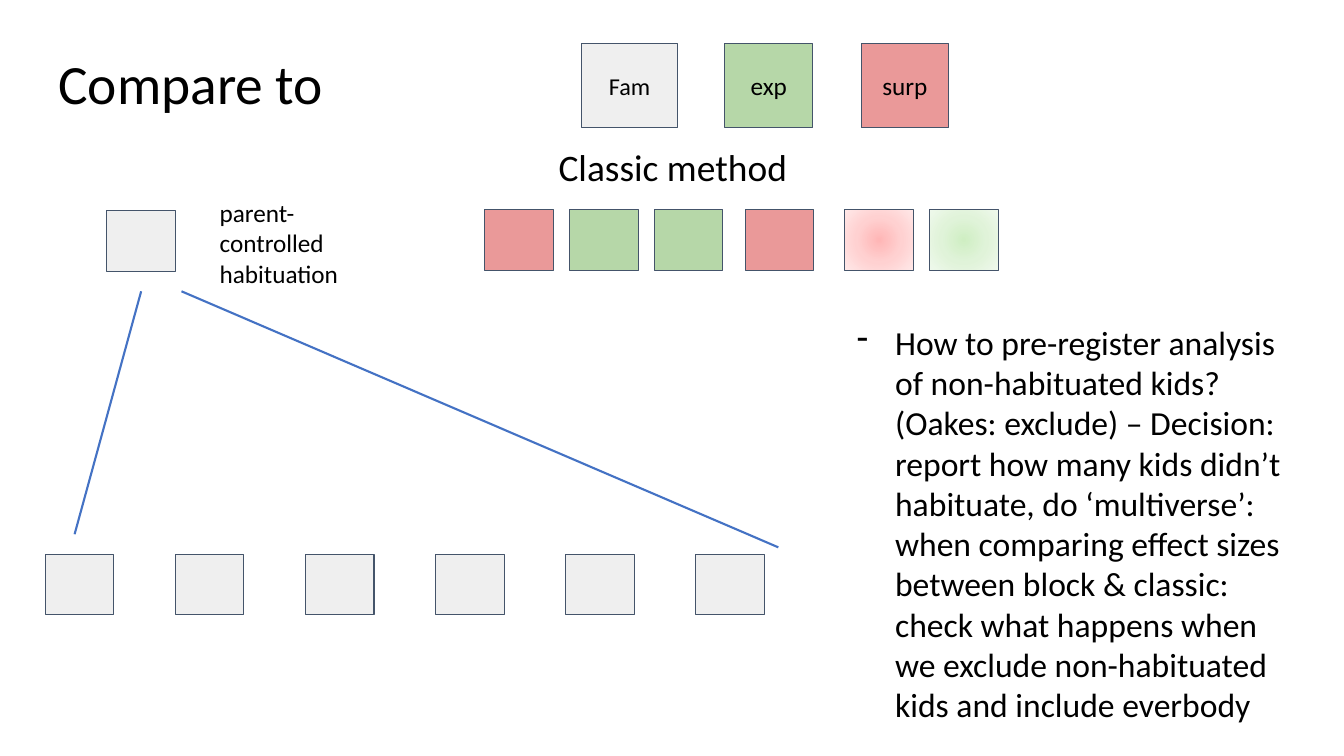
from lxml import etree
from pptx import Presentation
from pptx import util as u
from pptx.dml.color import RGBColor
from pptx.enum import shapes, text
from pptx.oxml import parse_xml
from pptx.oxml.ns import nsdecls, qn

BLACK = RGBColor(0x00, 0x00, 0x00)
GREY = RGBColor(0xEF, 0xEF, 0xEF)
GREEN = RGBColor(0xB6, 0xD7, 0xA8)
RED = RGBColor(0xEA, 0x99, 0x99)
OUTLINE = RGBColor(0x44, 0x54, 0x6A)
BLUE = RGBColor(0x44, 0x72, 0xC4)
# Glow colours from the centre to the edge
RED_GLOW = (RGBColor(0xFF, 0xB6, 0xB6), RGBColor(0xFF, 0xD1, 0xD1), RGBColor(0xFF, 0xE8, 0xE8))
GREEN_GLOW = (RGBColor(0xCF, 0xEE, 0xC3), RGBColor(0xE0, 0xF3, 0xD9), RGBColor(0xEF, 0xF9, 0xEC))

TRIAL_WIDTH, TRIAL_HEIGHT = 0.68, 0.6


def write_text(frame, words, size=18, align=text.PP_ALIGN.LEFT, anchor=text.MSO_ANCHOR.TOP,
               inset=None, spacing=None, bullet=None, font="Calibri", color=BLACK):
    frame.word_wrap = True
    frame.vertical_anchor = anchor
    if inset is not None:
        frame.margin_left = frame.margin_right = u.Inches(inset)
        frame.margin_top = frame.margin_bottom = u.Inches(inset)
    para = frame.paragraphs[0]
    para.alignment = align
    if spacing:
        para.line_spacing = spacing
    if bullet:
        properties = para._p.get_or_add_pPr()
        indent = u.Inches(0.38)
        properties.set("marL", str(indent))
        properties.set("indent", str(-indent))
        etree.SubElement(properties, qn("a:buChar")).set("char", bullet)
    span = para.add_run()
    span.text = words
    span.font.name = font
    span.font.size = u.Pt(size)
    span.font.color.rgb = color


class MethodSlide:
    """Holds the slide and the shared style of its parts."""

    inset = 0.13
    outline_width = 0.75
    arm_width = 1.5

    def __init__(self, deck):
        self.page = deck.slides.add_slide(deck.slide_layouts[6])

    def label(self, left, top, width, height, words, **style):
        box = self.page.shapes.add_textbox(*map(u.Inches, (left, top, width, height)))
        write_text(box.text_frame, words, **style)

    def heading(self, left, top, width, height, words, size):
        self.label(left, top, width, height, words, size=size, inset=self.inset, spacing=0.9)

    def square(self, left, top, fill, width=TRIAL_WIDTH, height=TRIAL_HEIGHT):
        square = self.page.shapes.add_shape(
            shapes.MSO_SHAPE.RECTANGLE, *map(u.Inches, (left, top, width, height)))
        square.shadow.inherit = False
        square.line.color.rgb = OUTLINE
        square.line.width = u.Pt(self.outline_width)
        if isinstance(fill, RGBColor):
            square.fill.solid()
            square.fill.fore_color.rgb = fill
        else:
            self.glow(square, fill)
        return square

    def glow(self, square, colors):
        stops = "".join(
            f'<a:gs pos="{50000 * step}"><a:srgbClr val="{color}"/></a:gs>'
            for step, color in enumerate(colors))
        gradient = parse_xml(
            f'<a:gradFill {nsdecls("a")}><a:gsLst>{stops}</a:gsLst><a:path path="circle">'
            '<a:fillToRect l="50000" t="50000" r="50000" b="50000"/></a:path></a:gradFill>')
        square.fill.background()
        properties = square._element.spPr
        properties.replace(properties.find(qn("a:noFill")), gradient)

    def key(self, left, width, fill, words, size):
        square = self.square(left, 0.43, fill, width, 0.84)
        write_text(square.text_frame, words, size=size, align=text.PP_ALIGN.CENTER,
                   anchor=text.MSO_ANCHOR.MIDDLE, inset=self.inset)

    def arm(self, *ends):
        arm = self.page.shapes.add_connector(
            shapes.MSO_CONNECTOR.STRAIGHT, *map(u.Inches, ends))
        arm.line.color.rgb = BLUE
        arm.line.width = u.Pt(self.arm_width)
        etree.SubElement(arm._element.spPr, qn("a:effectLst"))


def main():
    deck = Presentation()
    deck.slide_width, deck.slide_height = u.Inches(13.33), u.Inches(7.5)
    slide = MethodSlide(deck)

    # Headings
    slide.heading(0.45, 0.43, 5.2, 0.84, "Compare to", 39.6)
    slide.heading(5.41, 1.35, 7.9, 0.72, "Classic method", 26.7)

    # Key to the trial colours
    slide.key(5.77, 0.95, GREY, "Fam", 17.3)
    slide.key(7.19, 0.87, GREEN, "exp", 18)
    slide.key(8.54, 0.87, RED, "surp", 18)

    # Habituation phase
    slide.square(1.06, 2.09, GREY)
    slide.label(2.08, 1.91, 1.88, 1.01, "parent-controlled habituation")

    # Test trials
    trials = ((4.81, RED), (5.65, GREEN), (6.49, GREEN), (7.39, RED),
              (8.38, RED_GLOW), (9.22, GREEN_GLOW))
    for left, fill in trials:
        slide.square(left, 2.08, fill)

    # Habituation opened out into its six trials
    slide.arm(1.4, 2.89, 0.74, 5.3)
    slide.arm(1.8, 2.89, 7.72, 5.43)
    for index in range(6):
        slide.square(0.45 + 1.29 * index, 5.5, GREY)

    # Open question
    slide.label(
        8.4, 3.14, 4.5, 4.14,
        "How to pre-register analysis of non-habituated kids? (Oakes: exclude) – Decision: "
        "report how many kids didn’t habituate, do ‘multiverse’: when comparing effect sizes "
        "between block & classic: check what happens when we exclude non-habituated kids "
        "and include everbody",
        size=24, bullet="-")

    deck.save("out.pptx")


if __name__ == "__main__":
    main()
